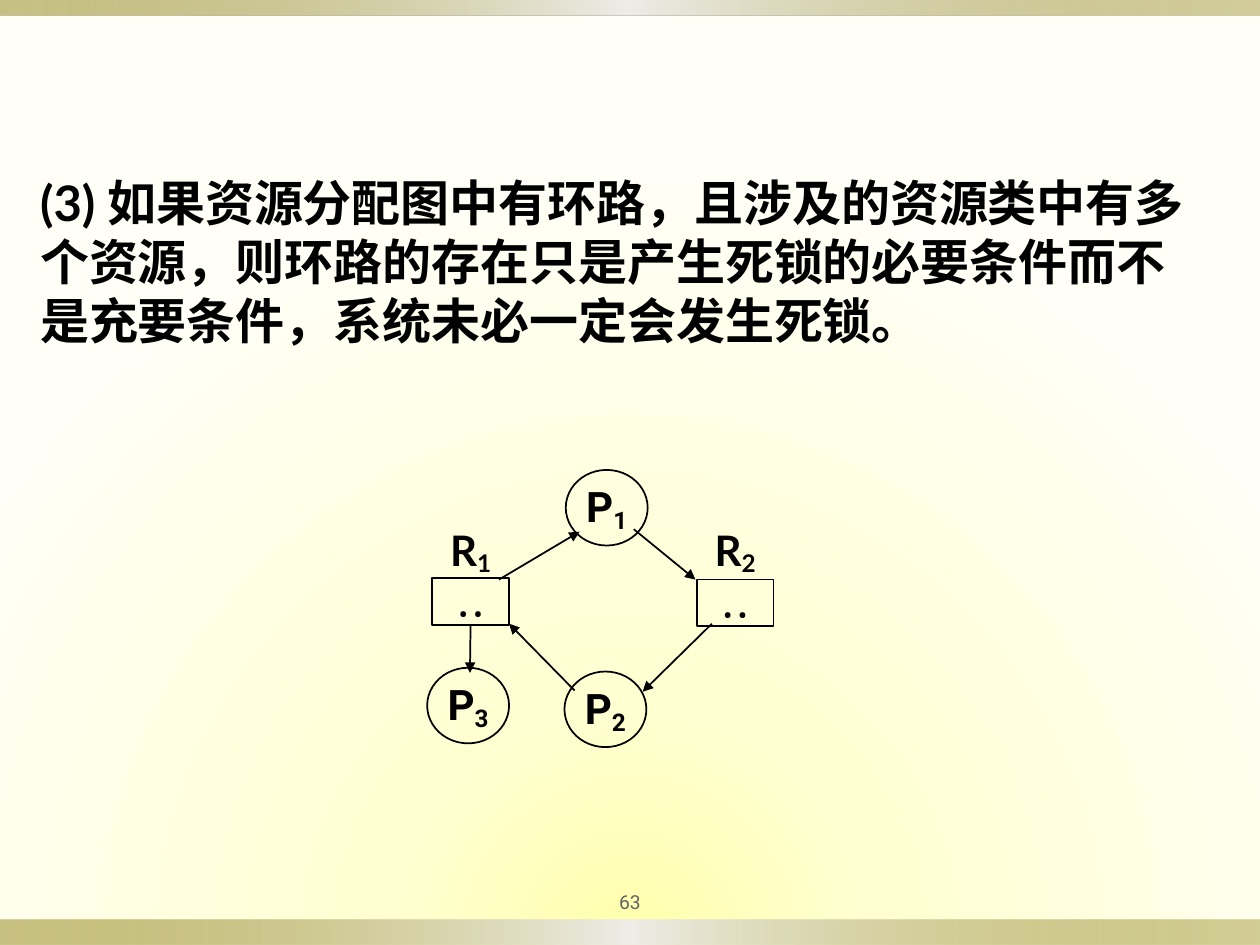
import pptx
import pptx.util
import pptx.oxml
import pptx.oxml.ns
from pptx.dml.color import RGBColor
from pptx.enum.shapes import MSO_CONNECTOR, MSO_SHAPE
from pptx.enum.text import MSO_ANCHOR, MSO_AUTO_SIZE, PP_ALIGN

Inches, Pt = pptx.util.Inches, pptx.util.Pt
BLACK = RGBColor(0x00, 0x00, 0x00)
GRAY = RGBColor(0x63, 0x63, 0x63)

# Content: places in inches
STATEMENT = ("(3) 如果资源分配图中有环路，且涉及的资源类中有多个资源，"
             "则环路的存在只是产生死锁的必要条件而不是充要条件，系统未必一定会发生死锁。")
PAGE_NUMBER = "63"
BANDS = [(7.3, 0.2), (0, 0.12)]  # top, height
PROCESSES = [("1", 4.49, 3.73), ("2", 4.48, 5.33), ("3", 3.39, 5.3)]
PROCESS_SIZE = (0.65, 0.6)
RESOURCES = [("1", 3.43, 4.59), ("2", 5.53, 4.6)]
RESOURCE_SIZE = (0.61, 0.37)
LABEL_TOP, LABEL_SIZE = 4.11, (0.88, 0.5)
INSTANCES = "• •"
ARROWS = [
    ((3.96, 4.6), (4.6, 4.22)),   # R1 to P1
    ((5.03, 4.2), (5.52, 4.6)),   # P1 to R2
    ((4.56, 5.48), (4.04, 4.95)),  # P2 to R1
    ((5.65, 4.95), (5.1, 5.49)),  # R2 to P2
]
R1_TO_P3 = ((3.73, 4.96), (3.73, 5.34))

# Gradients: position %, colour, opacity %
BACKGROUND_STOPS = [(0, "FFFFAC", 100), (31, "FFFFD2", 100), (100, "FFFFF7", 100)]
BACKGROUND_PATH = ('<a:path path="circle"><a:fillToRect l="50000" t="150000" '
                   'r="50000" b="0"/></a:path>')
BAND_STOPS = [(0, "918415", 50), (50, "EEEDE8", 100), (100, "918415", 40)]
BAND_DIRECTION = '<a:lin ang="0" scaled="0"/>'

presentation = pptx.Presentation()
presentation.slide_width, presentation.slide_height = Inches(10), Inches(7.5)
slide = presentation.slides.add_slide(presentation.slide_layouts[6])


def set_gradient(fill, properties, stops, direction):
    fill.gradient()
    stop_xml = "".join(
        f'<a:gs pos="{position * 1000}"><a:srgbClr val="{color}">'
        f'<a:alpha val="{opacity * 1000}"/></a:srgbClr></a:gs>'
        for position, color, opacity in stops)
    gradient = pptx.oxml.parse_xml(
        f'<a:gradFill {pptx.oxml.ns.nsdecls("a")} rotWithShape="1">'
        f'<a:gsLst>{stop_xml}</a:gsLst>{direction}</a:gradFill>')
    properties.replace(properties.find(pptx.oxml.ns.qn("a:gradFill")), gradient)


def write(shape, text, subscript="", size=24, font="Roboto", color=BLACK,
          bold=True, align=PP_ALIGN.CENTER):
    paragraph = shape.text_frame.paragraphs[0]
    paragraph.alignment = align
    paragraph.font.size, paragraph.font.bold = Pt(size), bold
    paragraph.font.name, paragraph.font.color.rgb = font, color
    for part, lowered in ((text, False), (subscript, True)):
        if part:
            run = paragraph.add_run()
            run.text = part
            if lowered:
                run._r.get_or_add_rPr().set("baseline", "-16000")


def add_text(left, top, width, height):
    box = slide.shapes.add_textbox(*map(Inches, (left, top, width, height)))
    box.text_frame.word_wrap = True
    return box


def add_node(kind, left, top, size):
    node = slide.shapes.add_shape(kind, *map(Inches, (left, top, *size)))
    node.shadow.inherit = False
    node.fill.background()
    node.line.color.rgb, node.line.width = BLACK, Pt(1)
    frame = node.text_frame
    frame.word_wrap = False
    frame.vertical_anchor = MSO_ANCHOR.MIDDLE
    frame.margin_left = frame.margin_right = Inches(0.06)
    frame.margin_top = frame.margin_bottom = Inches(0.01)
    return node


def add_arrow(start, end):
    arrow = slide.shapes.add_connector(
        MSO_CONNECTOR.STRAIGHT, *map(Inches, (*start, *end)))
    arrow.line.color.rgb, arrow.line.width = BLACK, Pt(1)
    line = arrow.line._get_or_add_ln()
    line.append(pptx.oxml.parse_xml(
        f'<a:tailEnd {pptx.oxml.ns.nsdecls("a")} type="triangle"/>'))
    arrow._element.spPr.append(pptx.oxml.parse_xml(
        f'<a:effectLst {pptx.oxml.ns.nsdecls("a")}/>'))
    return arrow


# Background and bands
background_fill = slide.background.fill
set_gradient(background_fill, slide._element.cSld.bg.bgPr,
             BACKGROUND_STOPS, BACKGROUND_PATH)
for top, height in BANDS:
    band = slide.shapes.add_shape(
        MSO_SHAPE.RECTANGLE, *map(Inches, (0, top, 10, height)))
    band.shadow.inherit = False
    band.line.fill.background()
    set_gradient(band.fill, band._element.spPr, BAND_STOPS, BAND_DIRECTION)

# Page number
number = add_text(4.5, 7, 1, 0.31)
frame = number.text_frame
frame.vertical_anchor = MSO_ANCHOR.MIDDLE
frame.margin_left = frame.margin_right = Inches(0.05)
write(number, PAGE_NUMBER, size=11, color=GRAY, bold=False)

# Statement
statement = add_text(0.22, 1.32, 9.49, 1.5)
statement.text_frame.auto_size = MSO_AUTO_SIZE.SHAPE_TO_FIT_TEXT
write(statement, STATEMENT, size=28, font="Lato", align=PP_ALIGN.LEFT)

# Processes
for index, left, top in PROCESSES:
    write(add_node(MSO_SHAPE.OVAL, left, top, PROCESS_SIZE), "P", index)

# Resources, each with its label centred above
resource_boxes = {}
for index, left, top in RESOURCES:
    resource_boxes[index] = add_node(MSO_SHAPE.RECTANGLE, left, top, RESOURCE_SIZE)
    write(resource_boxes[index], "", INSTANCES)
    label_left = left + (RESOURCE_SIZE[0] - LABEL_SIZE[0]) / 2
    write(add_text(label_left, LABEL_TOP, *LABEL_SIZE), "R", index, font="Lato")

# Request and assignment arrows
for start, end in ARROWS:
    add_arrow(start, end)
add_arrow(*R1_TO_P3).begin_connect(resource_boxes["1"], 2)

presentation.save("out.pptx")
